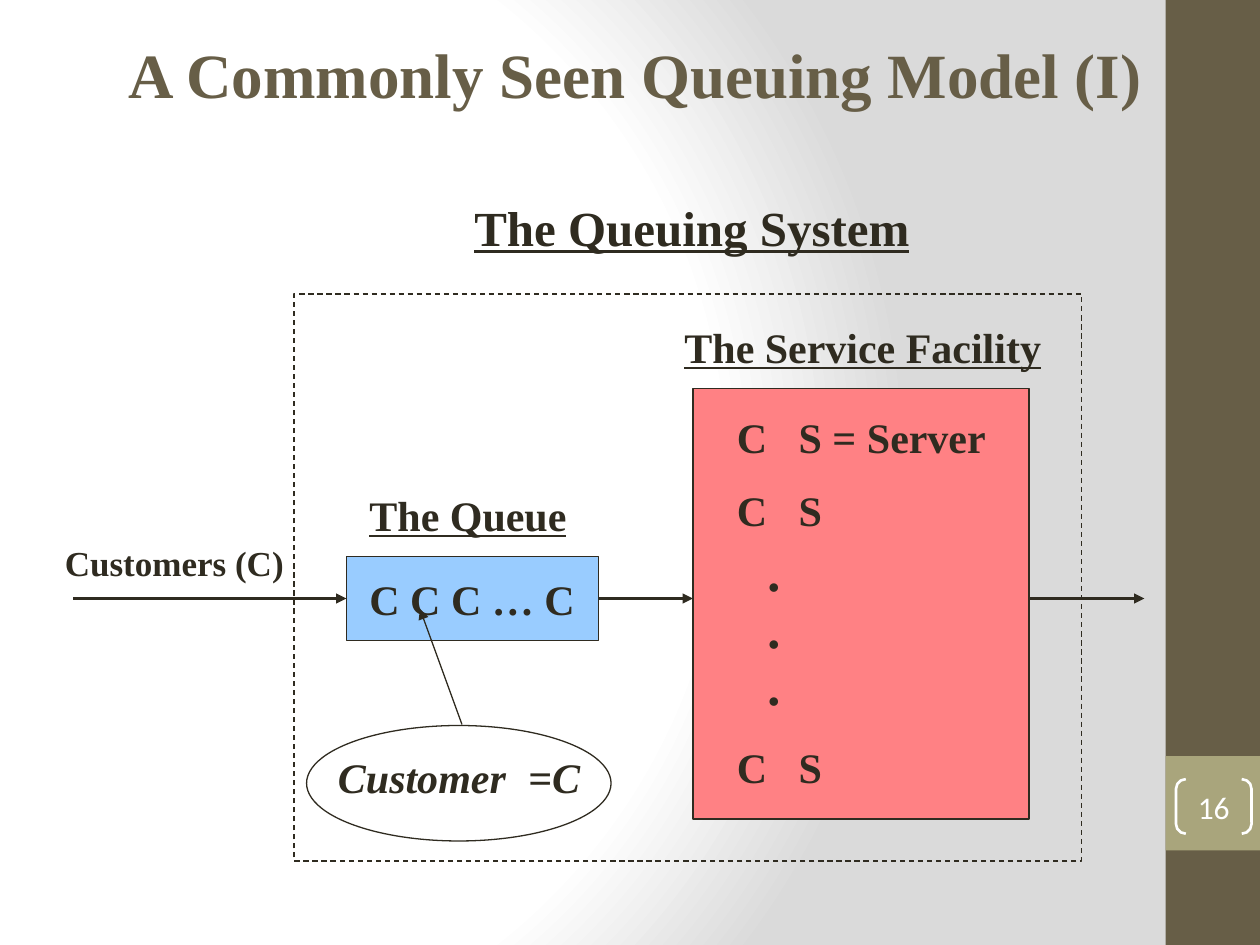
"""Builds the queuing model slide on a grid of twelfths of an inch."""
from dataclasses import dataclass
from typing import Optional

import lxml.etree
import pptx
import pptx.dml.color
import pptx.enum.dml
import pptx.enum.shapes
import pptx.enum.text
import pptx.oxml
import pptx.oxml.ns
import pptx.util

COLUMNS, ROWS = 120, 90
SHAPES = pptx.enum.shapes.MSO_SHAPE
qn = pptx.oxml.ns.qn


@dataclass(frozen=True)
class Theme:
    serif: str = "Times New Roman"
    sans: str = "Calibri"
    ink: str = "2F2B20"
    brown: str = "675E47"
    olive: str = "A9A57C"
    white: str = "FFFFFF"
    grey: str = "DADADA"
    red: str = "FF8184"
    blue: str = "99CCFF"
    title: int = 36
    heading: int = 28
    body: int = 24
    small: int = 20
    note: int = 18
    thin: float = 0.75
    medium: float = 1.25
    thick: float = 1.5


THEME = Theme()


@dataclass(frozen=True)
class Area:
    column: float
    row: float
    columns: float
    rows: float


@dataclass(frozen=True)
class Box:
    area: Area
    fill: Optional[str] = None
    line: Optional[str] = None
    width: float = THEME.thin
    kind: SHAPES = SHAPES.RECTANGLE
    dashed: bool = False


@dataclass(frozen=True)
class Line:
    text: str
    size: int = THEME.body
    before: float = 0
    indent: float = 0
    tab: float = 0
    underline: bool = False
    italic: bool = False


@dataclass(frozen=True)
class Label:
    area: Area
    lines: tuple[Line, ...]


@dataclass(frozen=True)
class Arrow:
    start: tuple[float, float]
    end: tuple[float, float]
    width: float = THEME.medium


BOXES = (
    Box(Area(111, 0, 9, 90), THEME.brown),
    Box(Area(111, 72, 9, 9), THEME.olive),
    Box(Area(29.2, 69.1, 29, 11), line=THEME.ink, kind=SHAPES.OVAL),
    Box(Area(66, 37, 32, 41), THEME.red, THEME.ink),
    Box(Area(33, 53, 24, 8), THEME.blue, THEME.ink),
    Box(Area(28, 28, 75, 54), line=THEME.ink, dashed=True),
)
PAGE_NUMBER = Box(Area(112, 74.2, 7.2, 5.2), line=THEME.white,
                  width=THEME.thick, kind=SHAPES.DOUBLE_BRACKET)
SERVERS = (
    Line("C\tS = Server", tab=0.49),
    Line("C\tS", before=13, tab=0.49),
    *(Line("•", THEME.note, before, 0.25) for before in (18, 11, 11)),
    Line("C\tS", before=13, tab=0.49),
)
LABELS = (
    Label(Area(34, 54, 23, 6), (Line("C C C … C"),)),
    Label(Area(5, 51, 24, 5.2), (Line("Customers (C)", THEME.small),)),
    Label(Area(69, 38.6, 27, 38.4), SERVERS),
    Label(Area(31, 71, 26, 6), (Line("Customer\t=C", tab=1.51, italic=True),)),
    Label(Area(44, 18.2, 46, 6.8),
          (Line("The Queuing System", THEME.heading, underline=True),)),
    Label(Area(34, 46, 22, 6), (Line("The Queue", underline=True),)),
    Label(Area(64, 30, 38, 6), (Line("The Service Facility", underline=True),)),
)
ARROWS = (
    Arrow((7, 57), (33, 57)),
    Arrow((57, 57), (66, 57)),
    Arrow((98, 57), (109, 57)),
    Arrow((44, 69), (40, 58), THEME.thin),
)


def grid(units: float) -> int:
    """Return the length of a number of grid units."""
    return pptx.util.Inches(units / 12)


def place(area: Area) -> tuple[int, int, int, int]:
    """Return left, top, width and height of an area."""
    return grid(area.column), grid(area.row), grid(area.columns), grid(area.rows)


def rgb(code: str) -> pptx.dml.color.RGBColor:
    """Return a colour object."""
    return pptx.dml.color.RGBColor.from_string(code)


def set_font(paragraph, name: str, size: int, color: str, bold: bool) -> None:
    """Set the font that all runs of a paragraph share."""
    font = paragraph.font
    font.name, font.size, font.bold = name, pptx.util.Pt(size), bold
    font.color.rgb = rgb(color)


def paint_background(slide) -> None:
    """Fill the background with a circular gradient."""
    slide.background.fill.solid()
    solid = next(slide.element.iter(qn("a:solidFill")))
    stops = "".join(
        f'<a:gs pos="{share * 1000}"><a:srgbClr val="{color}"/></a:gs>'
        for share, color in ((0, THEME.white), (75, THEME.white), (100, THEME.grey)))
    gradient = pptx.oxml.parse_xml(
        f'<a:gradFill {pptx.oxml.ns.nsdecls("a")} rotWithShape="1"><a:gsLst>{stops}</a:gsLst>'
        '<a:path path="circle"><a:fillToRect l="20000" t="50000" r="100000" b="50000"/>'
        '</a:path></a:gradFill>')
    solid.getparent().replace(solid, gradient)


def draw_box(slide, box: Box):
    """Draw a preset shape."""
    shape = slide.shapes.add_shape(box.kind, *place(box.area))
    shape.shadow.inherit = False
    if box.fill:
        shape.fill.solid()
        shape.fill.fore_color.rgb = rgb(box.fill)
    else:
        shape.fill.background()
    if box.line:
        shape.line.color.rgb = rgb(box.line)
        shape.line.width = pptx.util.Pt(box.width)
    else:
        shape.line.fill.background()
    if box.dashed:
        shape.line.dash_style = pptx.enum.dml.MSO_LINE.DASH
    return shape


def draw_page_number(slide) -> None:
    """Draw the bracketed page number."""
    shape = draw_box(slide, PAGE_NUMBER)
    shape.adjustments[0] = 0.18
    frame = shape.text_frame
    frame.margin_left = frame.margin_right = frame.margin_top = frame.margin_bottom = 0
    frame.vertical_anchor = pptx.enum.text.MSO_ANCHOR.MIDDLE
    frame.text = "16"
    paragraph = frame.paragraphs[0]
    paragraph.alignment = pptx.enum.text.PP_ALIGN.CENTER
    set_font(paragraph, THEME.sans, THEME.note, THEME.white, False)


def draw_label(slide, label: Label) -> None:
    """Draw a text box with one paragraph for each line."""
    frame = slide.shapes.add_textbox(*place(label.area)).text_frame
    frame.word_wrap = True
    frame.auto_size = pptx.enum.text.MSO_AUTO_SIZE.SHAPE_TO_FIT_TEXT
    frame.text = "\n".join(line.text for line in label.lines)
    for paragraph, line in zip(frame.paragraphs, label.lines):
        properties = paragraph._p.get_or_add_pPr()
        if line.indent:
            properties.set("marL", str(pptx.util.Inches(line.indent)))
        if line.tab:
            tabs = lxml.etree.SubElement(properties, qn("a:tabLst"))
            lxml.etree.SubElement(tabs, qn("a:tab"), algn="l",
                                  pos=str(pptx.util.Inches(line.tab)))
        if line.before:
            paragraph.space_before = pptx.util.Pt(line.before)
        set_font(paragraph, THEME.serif, line.size, THEME.ink, True)
        paragraph.font.underline, paragraph.font.italic = line.underline, line.italic


def draw_arrow(slide, arrow: Arrow) -> None:
    """Draw a straight line with an arrowhead at its end."""
    connector = slide.shapes.add_connector(
        pptx.enum.shapes.MSO_CONNECTOR.STRAIGHT, *map(grid, arrow.start + arrow.end))
    connector.line.color.rgb = rgb(THEME.ink)
    connector.line.width = pptx.util.Pt(arrow.width)
    properties = connector._element.spPr
    lxml.etree.SubElement(properties.find(qn("a:ln")), qn("a:tailEnd"), type="triangle")
    lxml.etree.SubElement(properties, qn("a:effectLst"))


def set_title(slide) -> None:
    """Move and format the title placeholder."""
    title = slide.shapes.title
    title.left, title.top, title.width, title.height = place(Area(4, 1, 113, 12))
    frame = title.text_frame
    frame.text = "A Commonly Seen Queuing Model (I)"
    frame.word_wrap = True
    frame.auto_size = pptx.enum.text.MSO_AUTO_SIZE.NONE
    frame.vertical_anchor = pptx.enum.text.MSO_ANCHOR.MIDDLE
    paragraph = frame.paragraphs[0]
    paragraph.alignment = pptx.enum.text.PP_ALIGN.CENTER
    set_font(paragraph, THEME.serif, THEME.title, THEME.brown, True)


def main() -> None:
    """Build and save the presentation."""
    presentation = pptx.Presentation()
    presentation.slide_width, presentation.slide_height = grid(COLUMNS), grid(ROWS)
    slide = presentation.slides.add_slide(presentation.slide_layouts[5])
    paint_background(slide)
    set_title(slide)
    for box in BOXES:
        draw_box(slide, box)
    draw_page_number(slide)
    for label in LABELS:
        draw_label(slide, label)
    for arrow in ARROWS:
        draw_arrow(slide, arrow)
    presentation.save("out.pptx")


if __name__ == "__main__":
    main()
